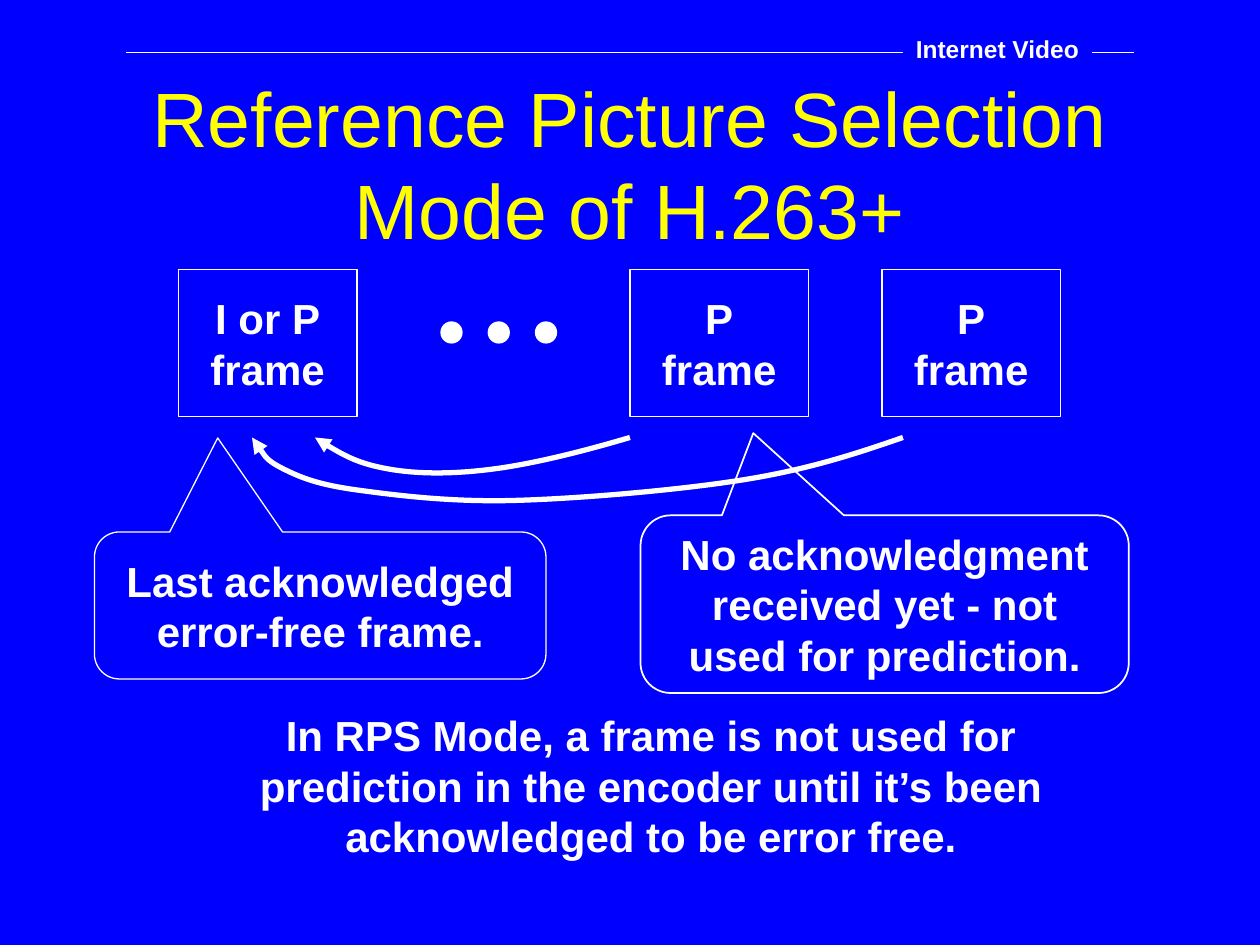
import pptx
import pptx.util
import pptx.dml.color
import pptx.enum.shapes
import pptx.enum.text
import pptx.oxml.ns
import pptx.oxml.xmlchemy

Pt = pptx.util.Pt
Kind = pptx.enum.shapes.MSO_SHAPE
HUES = {"back": "0000FF", "ink": "FFFFFF", "title": "FFFF00"}


def hue(name):
    return pptx.dml.color.RGBColor.from_string(HUES[name])


def make(tag):
    return pptx.oxml.xmlchemy.OxmlElement(tag)


def paint(shape, fill, line):
    shape.shadow.inherit = False
    if fill:
        shape.fill.solid()
        shape.fill.fore_color.rgb = hue(fill)
    else:
        shape.fill.background()
    if line:
        shape.line.color.rgb = hue("ink")
        shape.line.width = Pt(line)
    else:
        shape.line.fill.background()


def write(shape, paras, size=24, color="ink", bold=True, wrap=True):
    frame = shape.text_frame
    frame.auto_size = pptx.enum.text.MSO_AUTO_SIZE.NONE
    frame.word_wrap = wrap
    frame.vertical_anchor = pptx.enum.text.MSO_ANCHOR.MIDDLE
    for i, lines in enumerate(paras):
        para = frame.paragraphs[0] if i == 0 else frame.add_paragraph()
        para.alignment = pptx.enum.text.PP_ALIGN.CENTER
        for j, text in enumerate(lines.split("\n")):
            if j:
                para.add_line_break()
            run = para.add_run()
            run.text = text
            run.font.name = "Arial"
            run.font.size = Pt(size)
            run.font.bold = bold
            run.font.color.rgb = hue(color)


def add_box(shapes, kind, area, fill="back", line=0.75):
    shape = shapes.add_shape(kind, *map(Pt, area))
    paint(shape, fill, line)
    return shape


def add_call(shapes, area, paras, tip, fill, line, wrap):
    shape = add_box(shapes, Kind.ROUNDED_RECTANGULAR_CALLOUT, area, fill, line)
    shape.adjustments[0], shape.adjustments[1] = tip
    shape.adjustments[2] = 0.17
    write(shape, paras, wrap=wrap)


def add_dots(shapes):
    group = shapes.add_group_shape()
    for i in range(3):
        add_box(group.shapes, Kind.OVAL, (252 + 27 * i, 184, 12, 12), "ink")


def add_curve(shapes, points):
    form = shapes.build_freeform(*points[0], scale=Pt(1))
    form.add_line_segments(points[1:], close=False)
    shape = form.convert_to_shape()
    paint(shape, None, 3)
    qn = pptx.oxml.ns.qn
    steps = list(shape._element.iter(qn("a:lnTo")))
    for i in range(0, len(steps), 3):
        bend = make("a:cubicBezTo")
        steps[i].addprevious(bend)
        for step in steps[i:i + 3]:
            bend.append(step[0])
            step.getparent().remove(step)
    tail = make("a:tailEnd")
    tail.set("type", "triangle")
    shape._element.spPr.find(qn("a:ln")).append(tail)


def add_rule(shapes, start, end, y):
    rule = shapes.add_connector(
        pptx.enum.shapes.MSO_CONNECTOR.STRAIGHT, Pt(start), Pt(y), Pt(end), Pt(y))
    rule.line.color.rgb = hue("ink")
    rule.line.width = Pt(0.75)
    rule._element.spPr.append(make("a:effectLst"))


def add_title(shapes, text):
    title = shapes.title
    title.left, title.top, title.width, title.height = map(Pt, (54, 48, 612, 90))
    write(title, [text], 44, "title", False)


def main():
    deck = pptx.Presentation()
    deck.slide_width, deck.slide_height = Pt(720), Pt(540)
    slide = deck.slides.add_slide(deck.slide_layouts[5])
    slide.background.fill.solid()
    slide.background.fill.fore_color.rgb = hue("back")
    shapes = slide.shapes

    add_title(shapes, "Reference Picture Selection\nMode of H.263+")
    for left, name in ((102, "I or P"), (504, "P"), (360, "P")):
        frame = add_box(shapes, Kind.RECTANGLE, (left, 154, 102, 84))
        write(frame, [name, "frame"], wrap=False)
    add_dots(shapes)

    add_curve(shapes, [
        (360, 250), (333, 258), (305, 265), (282, 268), (259, 271),
        (239, 271), (222, 268), (205, 265), (192, 258), (180, 250)])
    add_curve(shapes, [
        (516, 250), (490, 259), (463, 268), (426, 274), (389, 280),
        (331, 285), (294, 286), (257, 287), (226, 283), (204, 280),
        (182, 277), (172, 273), (162, 268), (152, 263), (148, 256),
        (144, 250)])

    add_call(shapes, (54, 304, 258, 84),
             ["Last acknowledged", "error-free frame."],
             (-0.227, -1.14), "back", 0.75, False)
    note = shapes.add_textbox(*map(Pt, (126, 402, 492, 93.6)))
    write(note, ["In RPS Mode, a frame is not used for prediction in the "
                 "encoder until it’s been acknowledged to be error free."])
    add_call(shapes, (366, 294.5, 279, 101.5),
             ["No acknowledgment", "received yet - not used for prediction."],
             (-0.269, -0.963), None, 1, True)

    add_rule(shapes, 72, 648, 30)
    head = add_box(shapes, Kind.RECTANGLE, (516, 15.5, 108, 24.5), "back", None)
    write(head, ["Internet Video"], 14)
    deck.save("out.pptx")


if __name__ == "__main__":
    main()
